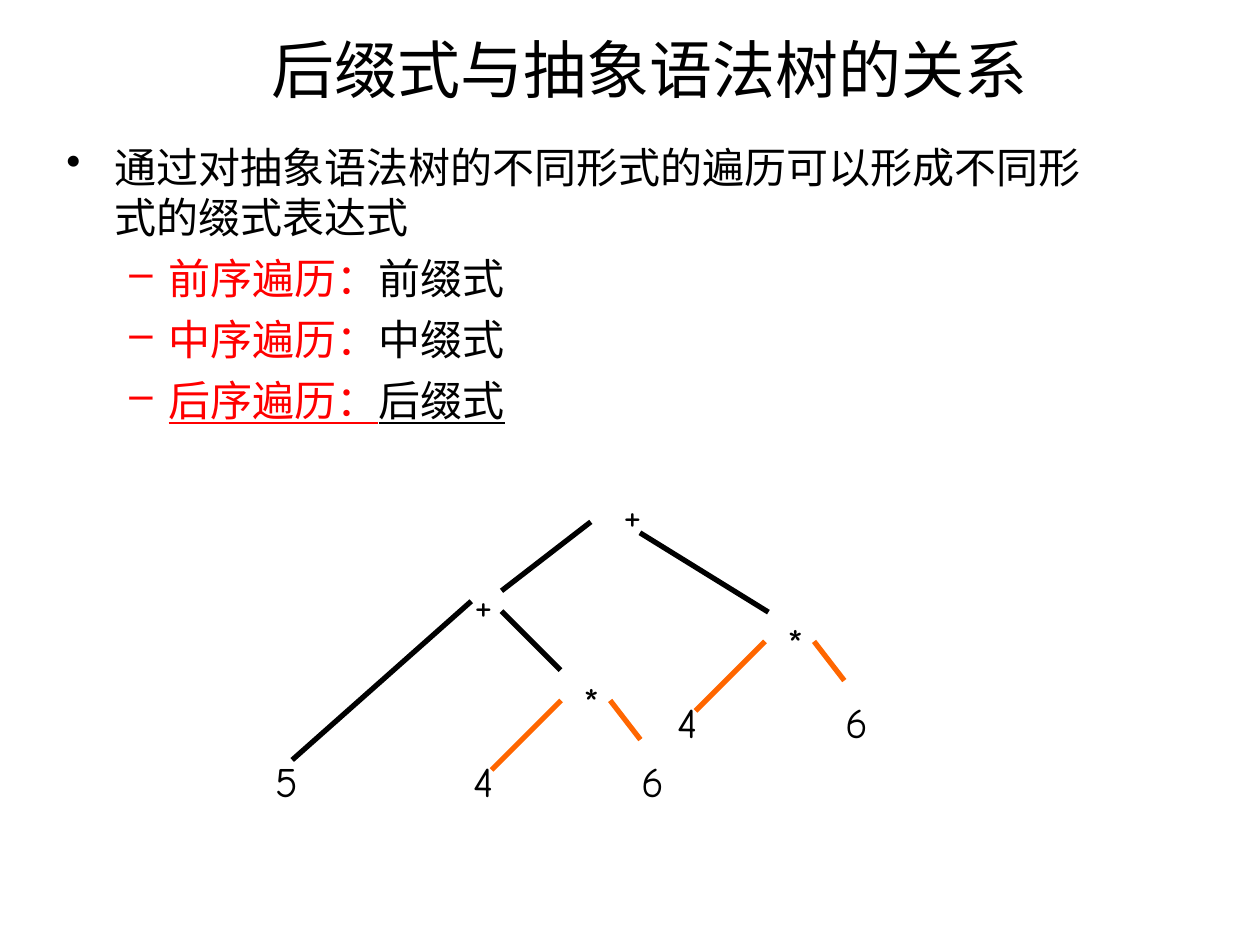
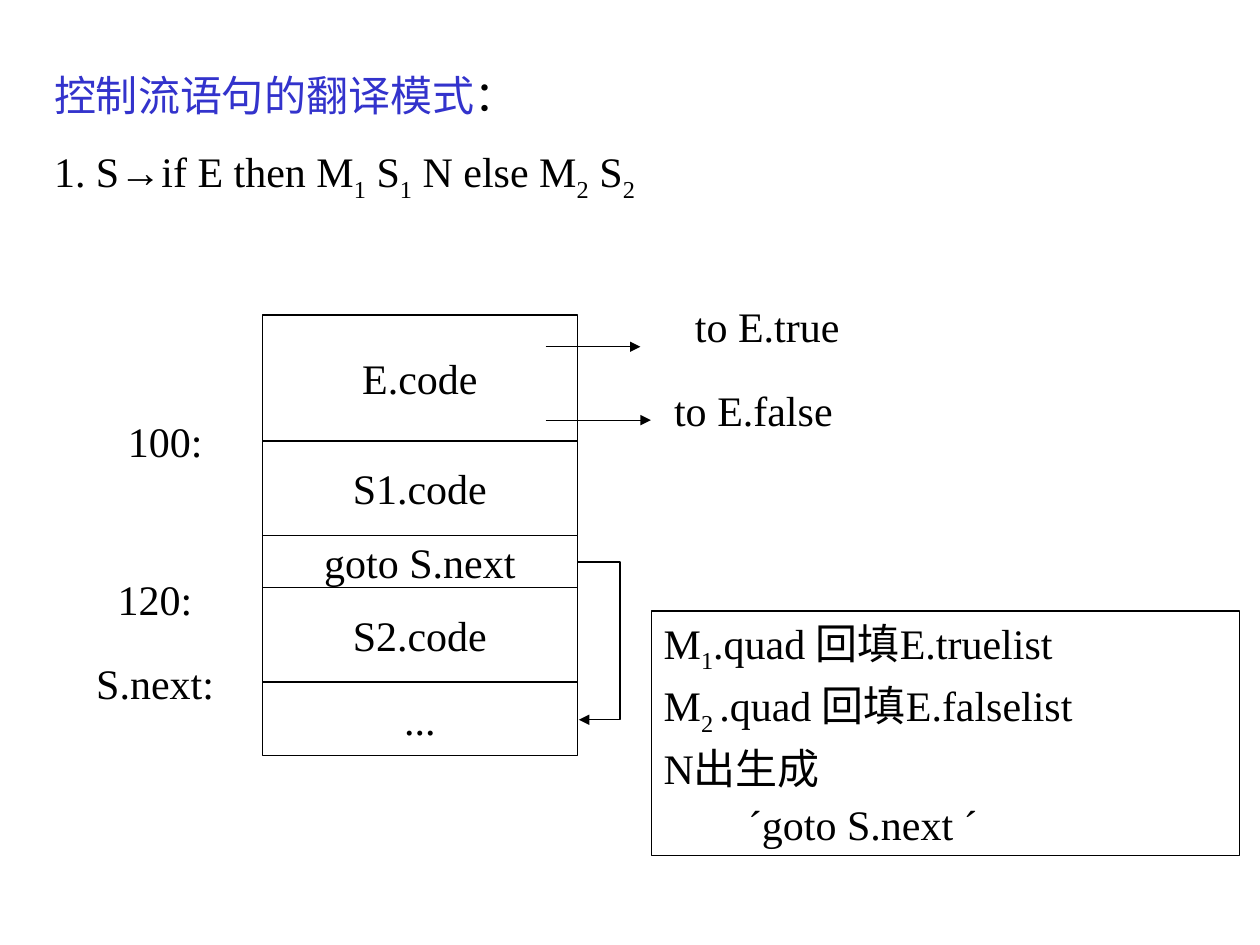
from dataclasses import dataclass
from itertools import accumulate

from lxml import etree
from pptx import Presentation
from pptx.dml.color import RGBColor
from pptx.enum.shapes import MSO_CONNECTOR, MSO_SHAPE
from pptx.enum.text import MSO_ANCHOR, MSO_AUTO_SIZE, PP_ALIGN
from pptx.oxml.ns import qn
from pptx.util import Cm, Pt

STRAIGHT, ELBOW = MSO_CONNECTOR.STRAIGHT, MSO_CONNECTOR.ELBOW
RECTANGLE = MSO_SHAPE.RECTANGLE
TOP, MIDDLE = MSO_ANCHOR.TOP, MSO_ANCHOR.MIDDLE
LEFT, CENTER = PP_ALIGN.LEFT, PP_ALIGN.CENTER
FIT_SHAPE = MSO_AUTO_SIZE.SHAPE_TO_FIT_TEXT


@dataclass(frozen=True)
class Theme:
    ink: str = "000000"
    paper: str = "FFFFFF"
    key: str = "FF0000"
    heading: str = "3333CC"
    leaf_edge: str = "FF6600"
    font: str = "Times New Roman"
    node_font: str = "Comic Neue"
    arrow_font: str = "Arial"
    title_size: int = 36
    text_size: int = 24
    thin: float = 0.75
    thick: float = 3


THEME = Theme()

# Content: a paragraph is a list of runs, a run is (text, style)
KEY = {"color": THEME.key}
LINED = {"underline": True}
SUB = {"baseline": -25}

TREE_TITLE = "后缀式与抽象语法树的关系"
TRAVERSAL_INTRO = "通过对抽象语法树的不同形式的遍历可以形成不同形式的缀式表达式"
TRAVERSALS = [
    ("前序遍历：", "前缀式", {}),
    ("中序遍历：", "中缀式", {}),
    ("后序遍历：", "后缀式", LINED),
]

# Tree: nodes are (symbol, left, top), edges are (x1, y1, x2, y2), all in cm
NODE_WIDTHS = {"+": 0.89, "*": 0.84, "4": 0.91, "5": 0.89, "6": 0.97}
SUM_NODES = [("+", 12.32, 9.73), ("+", 9.32, 11.53), ("5", 5.31, 15.11)]
SUM_EDGES = [
    (11.91, 10.52, 10.11, 11.91),
    (12.9, 10.74, 15.49, 12.34),
    (9.5, 12.12, 5.89, 15.32),
    (10.11, 12.32, 11.3, 13.51),
]
# The product subtree is relative to its top node and is used twice
PRODUCT_NODES = [("*", 0, 0), ("4", -2.21, 1.6), ("6", 1.17, 1.6)]
PRODUCT_EDGES = [(-0.2, 0.61, -1.6, 2.01), (0.79, 0.61, 1.4, 1.4)]
PRODUCT_PLACES = [(11.51, 13.51), (15.62, 12.32)]

FLOW_HEADING = [
    [("控制流语句的翻译模式", {"color": THEME.heading}), ("：", {})],
    [("1. S", {}), ("→", {"font": THEME.arrow_font}), ("if E then M", {}),
     ("1", SUB), (" S", {}), ("1", SUB), (" N else M", {}), ("2", SUB),
     (" S", {}), ("2", SUB)],
]
CODE_BLOCKS = [("E.code", 2.54), ("S1.code", 1.9), ("goto S.next", 1.06),
               ("S2.code", 1.9), ("...", 1.48)]
STACK_LEFT, STACK_TOP, STACK_WIDTH = 5.29, 6.35, 6.35
FLOW_LABELS = [
    ("100:", 2.33, 8.26),
    ("120:", 2.12, 11.43),
    ("S.next:", 1.69, 13.12),
    ("to E.true", 13.76, 5.93),
    ("to E.false", 13.34, 7.62),
]
EXITS = [(11, 6.99, 12.91, 6.99), (11, 8.47, 13.12, 8.47)]
JUMP_FROM, JUMP_TO, JUMP_OUT = 11.33, 14.51, 12.5
BACKPATCH_NOTES = [
    [("M", {}), ("1", SUB), (".quad 回填E.truelist", {})],
    [("M", {}), ("2 ", SUB), (".quad 回填E.falselist", {})],
    [("N出生成", {})],
    [("´goto S.next ´", {})],
]
GOTO_INDENT = 1.7


def rgb(color):
    return RGBColor.from_string(color)


def add_runs(paragraph, runs, size=THEME.text_size, font=THEME.font):
    for text, style in runs:
        run = paragraph.add_run()
        run.text = text
        run.font.size = Pt(size)
        run.font.name = style.get("font", font)
        run.font.color.rgb = rgb(style.get("color", THEME.ink))
        if style.get("underline"):
            run.font.underline = True
        if "baseline" in style:
            run._r.get_or_add_rPr().set("baseline", str(style["baseline"] * 1000))


def write(shape, paragraphs, align=LEFT, anchor=TOP, wrap=True, gap=0, **type_style):
    frame = shape.text_frame
    frame.word_wrap = wrap
    frame.vertical_anchor = anchor
    for index, runs in enumerate(paragraphs):
        paragraph = frame.add_paragraph() if index else frame.paragraphs[0]
        paragraph.alignment = align
        if index and gap:
            paragraph.space_before = Pt(gap)
        add_runs(paragraph, runs, **type_style)
    return frame


def add_text(slide, box, paragraphs, **style):
    return write(slide.shapes.add_textbox(*map(Cm, box)), paragraphs, **style)


def add_box(slide, box, paragraphs, **style):
    shape = slide.shapes.add_shape(RECTANGLE, *map(Cm, box))
    shape.shadow.inherit = False
    shape.fill.solid()
    shape.fill.fore_color.rgb = rgb(THEME.paper)
    shape.line.color.rgb = rgb(THEME.ink)
    shape.line.width = Pt(THEME.thin)
    return write(shape, paragraphs, **style)


def add_line(slide, ends, color=THEME.ink, width=THEME.thin, kind=STRAIGHT, arrow=False):
    line = slide.shapes.add_connector(kind, *map(Cm, ends))
    line.line.color.rgb = rgb(color)
    line.line.width = Pt(width)
    properties = line._element.spPr
    if arrow:
        etree.SubElement(properties.find(qn("a:ln")), qn("a:tailEnd"), type="triangle")
    etree.SubElement(properties, qn("a:effectLst"))
    return line


def set_indent(paragraph, margin, hanging=0):
    properties = paragraph._p.get_or_add_pPr()
    properties.set("marL", str(Cm(margin)))
    properties.set("indent", str(Cm(-hanging)))
    return properties


def set_bullet(paragraph, mark, color, margin, hanging):
    properties = set_indent(paragraph, margin, hanging)
    bullet_color = etree.SubElement(properties, qn("a:buClr"))
    etree.SubElement(bullet_color, qn("a:srgbClr"), val=color)
    etree.SubElement(properties, qn("a:buChar"), char=mark)


def add_product(slide, left, top):
    for symbol, x, y in PRODUCT_NODES:
        add_node(slide, symbol, left + x, top + y)
    for x1, y1, x2, y2 in PRODUCT_EDGES:
        add_line(slide, (left + x1, top + y1, left + x2, top + y2),
                 THEME.leaf_edge, THEME.thick)


def add_node(slide, symbol, left, top):
    add_text(slide, (left, top, NODE_WIDTHS[symbol], 1.27), [[(symbol, {})]],
             wrap=False, font=THEME.node_font)


def build_tree_slide(slide):
    add_text(slide, (1.9, 0.43, 22.4, 1.9), [[(TREE_TITLE, {})]],
             align=CENTER, anchor=MIDDLE, size=THEME.title_size)

    # Traversal list
    lines = [[(TRAVERSAL_INTRO, {})]]
    lines += [[(order, KEY | extra), (form, extra)] for order, form, extra in TRAVERSALS]
    traversal_list = add_text(slide, (1.09, 2.72, 21.39, 10.16), lines, gap=6)
    intro, *orders = traversal_list.paragraphs
    set_bullet(intro, "•", THEME.ink, 0.96, 0.96)
    for order in orders:
        order.level = 1
        set_bullet(order, "–", THEME.key, 2.06, 0.79)

    # Syntax tree
    for node in SUM_NODES:
        add_node(slide, *node)
    for edge in SUM_EDGES:
        add_line(slide, edge, width=THEME.thick)
    for place in PRODUCT_PLACES:
        add_product(slide, *place)


def build_flow_slide(slide):
    add_text(slide, (0.84, 1.27, 23.5, 2.97), FLOW_HEADING, gap=15)

    # Stack of code blocks
    heights = [height for _, height in CODE_BLOCKS]
    tops = accumulate(heights, initial=STACK_TOP)
    for (code, height), top in zip(CODE_BLOCKS, tops):
        add_box(slide, (STACK_LEFT, top, STACK_WIDTH, height), [[(code, {})]],
                align=CENTER, anchor=MIDDLE, wrap=False)

    # Addresses and exits
    for label, left, top in FLOW_LABELS:
        add_text(slide, (left, top, 4.5, 1.27), [[(label, {})]])
    for exit_line in EXITS:
        add_line(slide, exit_line, arrow=True)

    # Jump from the goto block to the code that follows
    right = STACK_LEFT + STACK_WIDTH
    step = 0.03
    jump = add_line(slide, (right, JUMP_FROM, right + step, JUMP_TO), kind=ELBOW, arrow=True)
    geometry = jump._element.spPr.find(qn("a:prstGeom"))
    bend = round((JUMP_OUT - right) / step * 100000)
    etree.SubElement(geometry.find(qn("a:avLst")), qn("a:gd"),
                     name="adj1", fmla=f"val {bend}")

    # Backpatching notes
    notes = add_box(slide, (13.13, 12.32, 11.86, 4.93), BACKPATCH_NOTES, gap=3)
    notes.auto_size = FIT_SHAPE
    set_indent(notes.paragraphs[-1], GOTO_INDENT)


def main():
    deck = Presentation()
    deck.slide_width, deck.slide_height = Cm(25.4), Cm(19.05)
    blank = deck.slide_layouts[6]
    for build in (build_tree_slide, build_flow_slide):
        build(deck.slides.add_slide(blank))
    deck.save("out.pptx")


if __name__ == "__main__":
    main()
